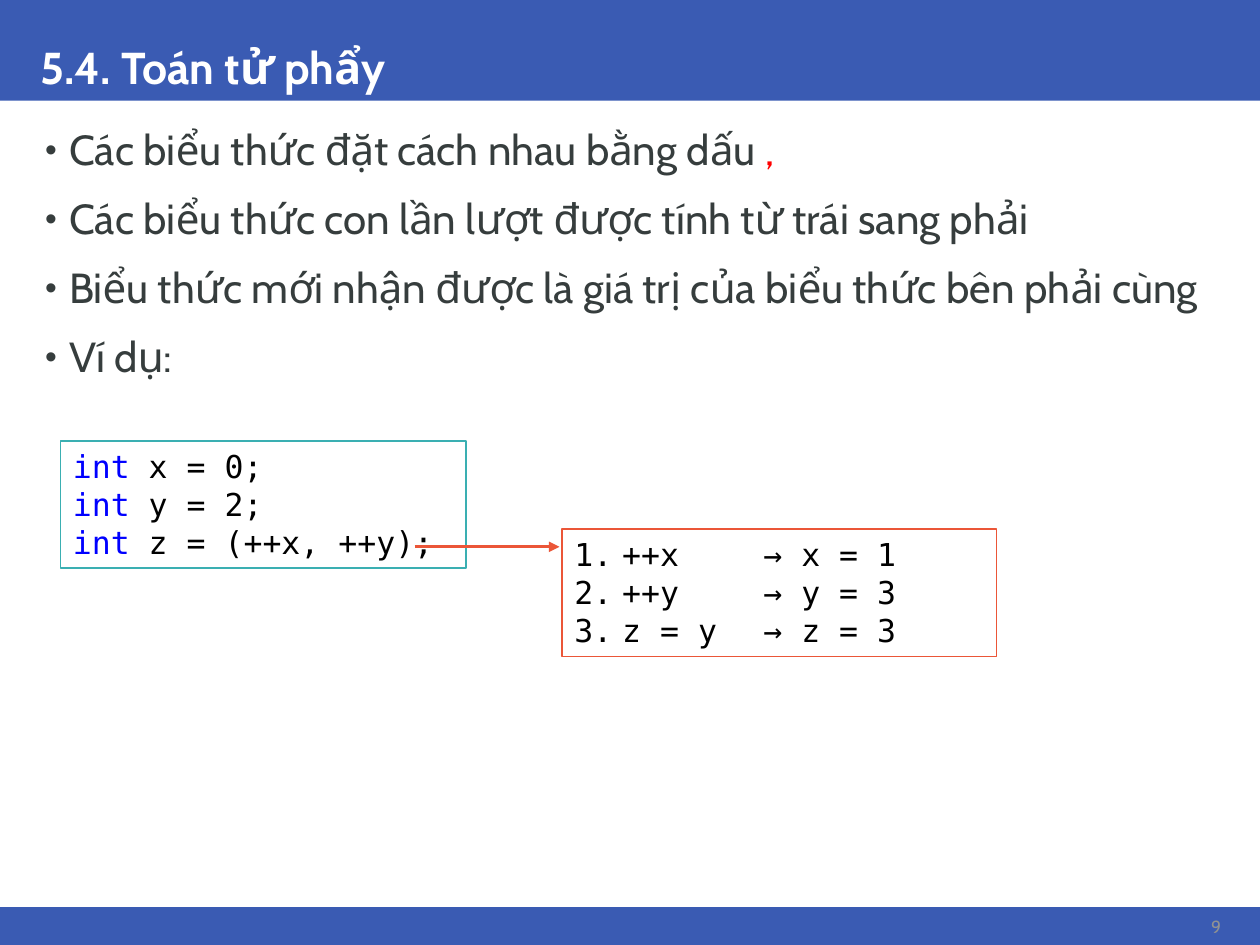
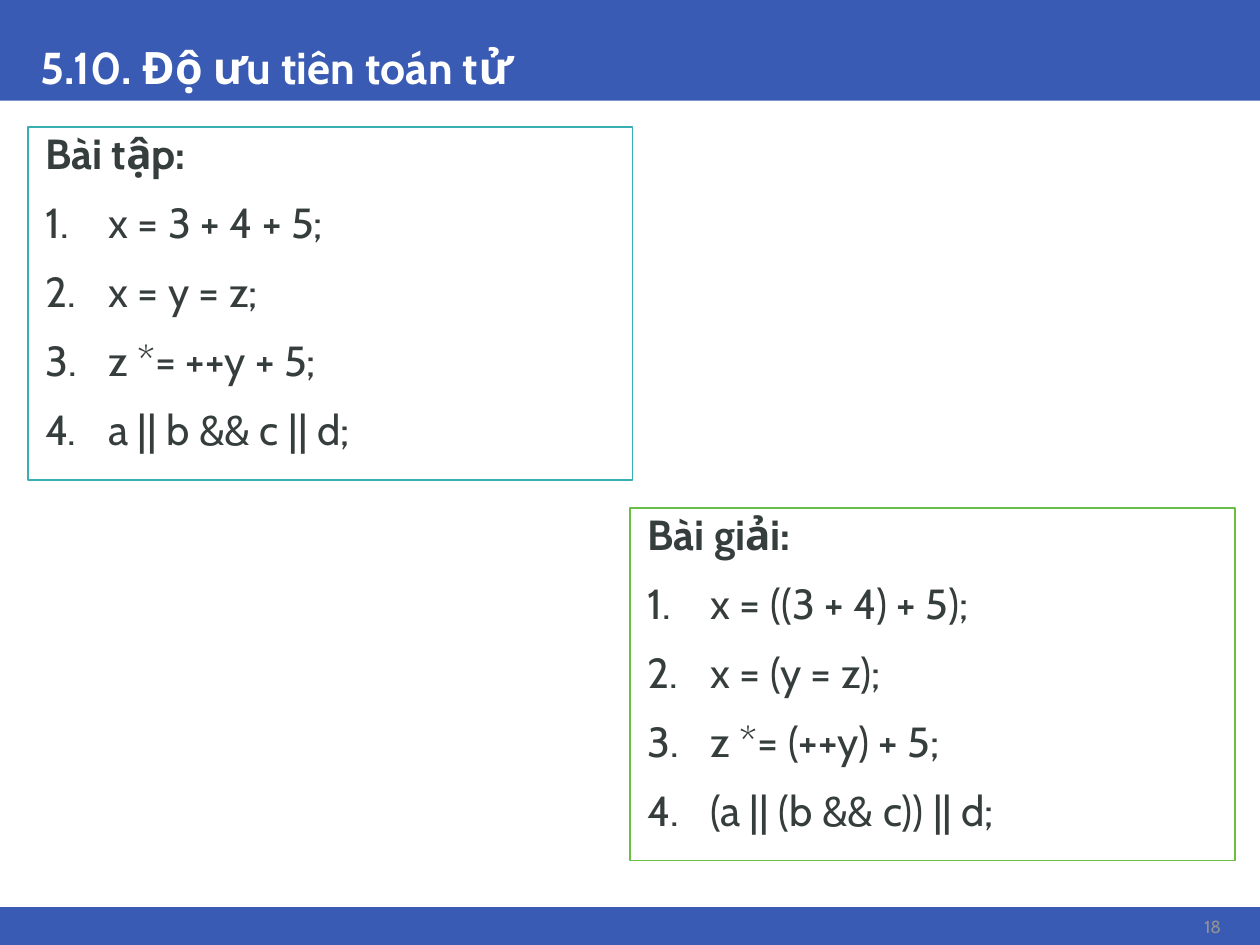
import pptx
import pptx.util
import pptx.dml.color
import pptx.enum.shapes
import pptx.enum.text
import pptx.oxml.ns
import lxml.etree

Inches, Pt = pptx.util.Inches, pptx.util.Pt
ANCHOR = pptx.enum.text.MSO_ANCHOR
RECT = pptx.enum.shapes.MSO_SHAPE.RECTANGLE

COLORS = {
    "band": "3A5BB3", "white": "FFFFFF", "text": "363D3D", "footer": "919292",
    "teal": "3AAFB2", "orange": "EB5638", "green": "6ABD45",
    "keyword": "0000FF", "code": "000000", "accent": "FF0000",
}
BODY_FONT, CODE_FONT = "Cabin", "DejaVu Sans Mono"


def rgb(name):
    return pptx.dml.color.RGBColor.from_string(COLORS[name])


def sub(parent, tag, **attrs):
    return lxml.etree.SubElement(parent, pptx.oxml.ns.qn(tag), attrs)


def add_box(s, box, fill, line=None):
    sp = s.shapes.add_shape(RECT, *map(Inches, box))
    sp.shadow.inherit = False
    sp.fill.solid()
    sp.fill.fore_color.rgb = rgb(fill)
    if line:
        sp.line.color.rgb = rgb(line)
        sp.line.width = Pt(1)
    else:
        sp.line.fill.background()
    sp.text_frame.vertical_anchor = ANCHOR.TOP
    return sp


def add_run(p, text, size, color, font=BODY_FONT, bold=False):
    r = p.add_run()
    r.text = text
    r.font.name, r.font.size, r.font.bold = font, Pt(size), bold
    r.font.color.rgb = rgb(color)


def next_paragraph(tf, space=0, line_spacing=1.0):
    """Return the empty first paragraph, or a new one set off by space points."""
    first = not tf.paragraphs[0].runs
    p = tf.paragraphs[0] if first else tf.add_paragraph()
    p.alignment = pptx.enum.text.PP_ALIGN.LEFT
    p.space_before = Pt(0 if first else space)
    p.line_spacing = line_spacing
    return p


def set_indent(p, left, hanging=0.0):
    pPr = p._p.get_or_add_pPr()
    pPr.set("marL", str(Inches(left)))
    pPr.set("indent", str(-Inches(hanging)))
    return pPr


def number(p, left, hanging):
    pPr = set_indent(p, left, hanging)
    sub(pPr, "a:buFont", typeface="+mj-lt")
    sub(pPr, "a:buAutoNum", type="arabicPeriod")


def bullet(p, left, hanging):
    pPr = set_indent(p, left, hanging)
    sub(pPr, "a:buSzPct", val="80000")
    sub(pPr, "a:buFont", typeface="Arial")
    sub(pPr, "a:buChar", char="•")


def add_base_slide(prs, title, page):
    s = prs.slides.add_slide(prs.slide_layouts[5])
    add_box(s, (0, 0, 10, 0.8), "band")
    add_box(s, (0, 7.2, 10, 0.3), "band")

    sp = s.shapes.title
    sp._element.getparent().append(sp._element)  # bring in front of the band
    sp.left, sp.top, sp.width, sp.height = map(Inches, (0.22, 0, 9.57, 0.8))
    tf = sp.text_frame
    tf.vertical_anchor = ANCHOR.BOTTOM
    add_run(next_paragraph(tf, line_spacing=0.9), title, 25.5, "white", bold=True)

    tf = s.shapes.add_textbox(*map(Inches, (9.26, 7.22, 0.53, 0.26))).text_frame
    tf.word_wrap = True
    tf.vertical_anchor = ANCHOR.MIDDLE
    p = next_paragraph(tf)
    p.alignment = pptx.enum.text.PP_ALIGN.RIGHT
    add_run(p, str(page), 10, "footer")
    return s


def add_bullets(s, box, items):
    """Each item is a list of (text, colour) runs."""
    tf = s.shapes.add_textbox(*map(Inches, box)).text_frame
    tf.word_wrap = True
    for runs in items:
        p = next_paragraph(tf, 13.5, 0.9)
        bullet(p, 0.23, 0.19)
        for text, color in runs:
            add_run(p, text, 24, color)


def add_code(s, box, line, rows, numbered=False):
    """Each row is a list of (text, colour) runs."""
    tf = add_box(s, box, "white", line).text_frame
    tf.auto_size = pptx.enum.text.MSO_AUTO_SIZE.SHAPE_TO_FIT_TEXT
    for runs in rows:
        p = next_paragraph(tf)
        if numbered:
            number(p, 0.38, 0.38)
        for text, color in runs:
            add_run(p, text, 18, color, CODE_FONT)


def add_arrow(s, x1, x2, y):
    c = s.shapes.add_connector(pptx.enum.shapes.MSO_CONNECTOR.STRAIGHT,
                               *map(Inches, (x1, y, x2, y)))
    c.line.color.rgb = rgb("orange")
    c.line.width = Pt(1.5)
    sub(c.line._get_or_add_ln(), "a:tailEnd", type="triangle")
    sub(c._element.spPr, "a:effectLst")


def add_exercise(s, box, line, heading, answers):
    tf = add_box(s, box, "white", line).text_frame
    p = next_paragraph(tf, line_spacing=0.9)
    set_indent(p, 0.04)
    add_run(p, heading, 24, "text", bold=True)
    for answer in answers:
        p = next_paragraph(tf, 13.5, 0.9)
        number(p, 0.54, 0.5)
        add_run(p, answer, 24, "text")


def build_comma_slide(prs):
    s = add_base_slide(prs, "5.4. Toán tử phẩy", 9)
    add_bullets(s, (0.22, 0.98, 9.57, 2.52), [
        [("Các biểu thức đặt cách nhau bằng dấu", "text"), (" ,", "accent")],
        [("Các biểu thức con lần lượt được tính từ trái sang phải", "text")],
        [("Biểu thức mới nhận được là giá trị của biểu thức bên phải cùng", "text")],
        [("Ví dụ:", "text")],
    ])
    declarations = (" x = 0;", " y = 2;", " z = (++x, ++y);")
    add_code(s, (0.48, 3.5, 3.22, 1.01), "teal",
             [[("int", "keyword"), (d, "code")] for d in declarations])
    steps = ("++x\t\t→ x = 1", "++y\t\t→ y = 3", "z = y\t→ z = 3")
    add_code(s, (4.46, 4.2, 3.45, 1.01), "orange",
             [[(step, "code")] for step in steps], numbered=True)
    add_arrow(s, 3.29, 4.44, 4.34)


def build_precedence_slide(prs):
    s = add_base_slide(prs, "5.10. Độ ưu tiên toán tử", 18)
    add_exercise(s, (0.22, 1.01, 4.8, 2.8), "teal", "Bài tập:", (
        "x = 3 + 4 + 5;", "x = y = z;", "z *= ++y + 5;", "a || b && c || d;"))
    add_exercise(s, (5, 4.03, 4.8, 2.8), "green", "Bài giải:", (
        "x = ((3 + 4) + 5);", "x = (y = z);", "z *= (++y) + 5;",
        "(a || (b && c)) || d;"))


def main():
    prs = pptx.Presentation()
    prs.slide_width, prs.slide_height = Inches(10), Inches(7.5)
    build_comma_slide(prs)
    build_precedence_slide(prs)
    prs.save("out.pptx")


if __name__ == "__main__":
    main()
